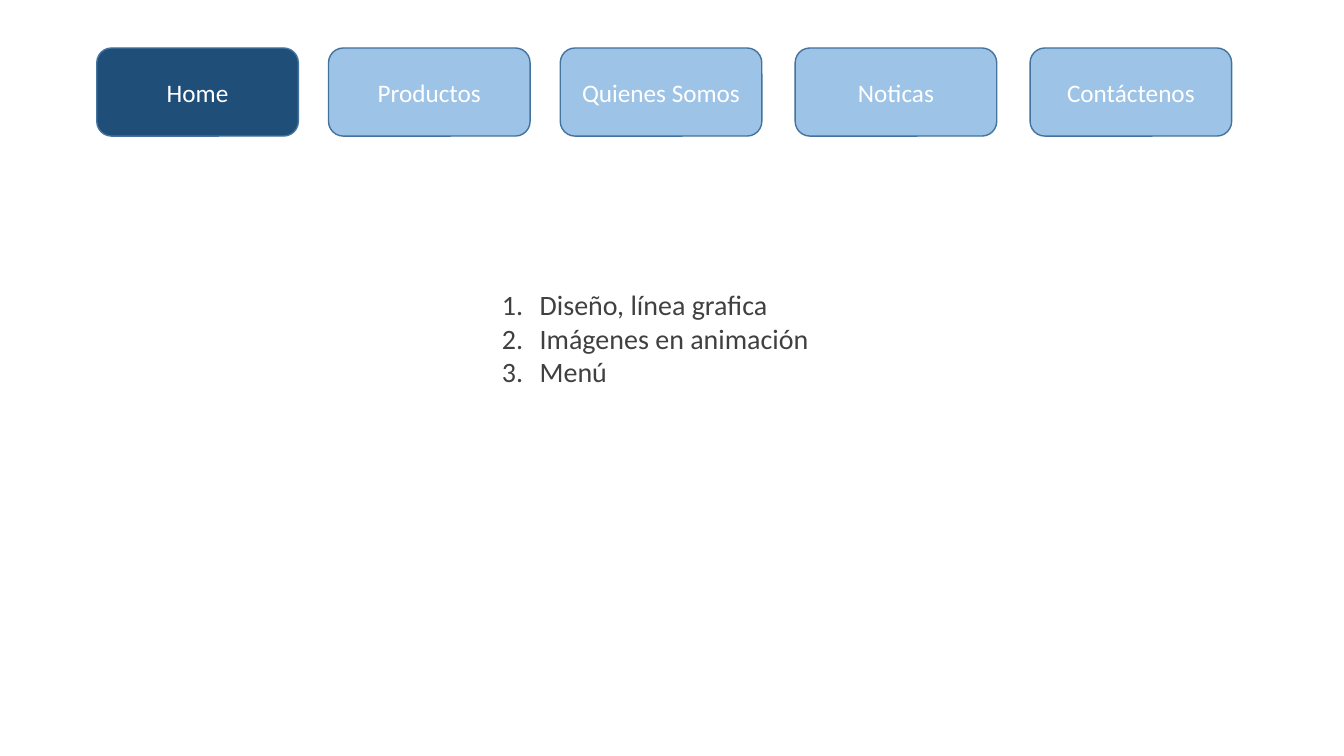
from dataclasses import dataclass

from lxml.etree import SubElement
from pptx import Presentation
from pptx.dml.color import RGBColor
from pptx.enum.shapes import MSO_SHAPE
from pptx.enum.text import MSO_ANCHOR, MSO_AUTO_SIZE, PP_ALIGN
from pptx.oxml.ns import qn
from pptx.util import Cm, Pt

MENU = ["Home", "Productos", "Quienes Somos", "Noticas", "Contáctenos"]
ACTIVE = "Home"
TASKS = ["Diseño, línea grafica", "Imágenes en animación", "Menú"]


@dataclass(frozen=True)
class Theme:
    """Colours, font and type sizes of the slide."""
    active: RGBColor = RGBColor(0x1F, 0x4E, 0x79)
    inactive: RGBColor = RGBColor(0x9D, 0xC3, 0xE6)
    outline: RGBColor = RGBColor(0x43, 0x73, 0x9E)
    label: RGBColor = RGBColor(0xFF, 0xFF, 0xFF)
    body: RGBColor = RGBColor(0x40, 0x40, 0x40)
    font: str = "Calibri"
    label_size: Pt = Pt(18)
    body_size: Pt = Pt(20)


THEME = Theme()
BUTTON_LEFT, BUTTON_TOP = Cm(2.44), Cm(1.21)
BUTTON_WIDTH, BUTTON_HEIGHT = Cm(5.08), Cm(2.22)
BUTTON_GAPS = [Cm(0.76), Cm(0.76), Cm(0.84), Cm(0.84)]
LIST_BOX = Cm(12.4), Cm(7.12), Cm(8.56), Cm(2.82)
LIST_INDENT = Cm(0.95)


def format_runs(paragraph, size, color):
    """Apply the theme font, a size and a colour to a paragraph's runs."""
    for run in paragraph.runs:
        run.font.name = THEME.font
        run.font.size = size
        run.font.color.rgb = color


def add_button(slide, index, label):
    """Add one menu button in its place in the row."""
    left = BUTTON_LEFT + index * BUTTON_WIDTH + sum(BUTTON_GAPS[:index])
    shape = slide.shapes.add_shape(
        MSO_SHAPE.ROUNDED_RECTANGLE, left, BUTTON_TOP, BUTTON_WIDTH, BUTTON_HEIGHT)
    shape.shadow.inherit = False
    shape.fill.solid()
    shape.fill.fore_color.rgb = THEME.active if label == ACTIVE else THEME.inactive
    shape.line.color.rgb = THEME.outline
    shape.line.width = Pt(1)
    shape.text_frame.text = label
    shape.text_frame.vertical_anchor = MSO_ANCHOR.MIDDLE
    paragraph = shape.text_frame.paragraphs[0]
    paragraph.alignment = PP_ALIGN.CENTER
    format_runs(paragraph, THEME.label_size, THEME.label)


def number_paragraph(paragraph):
    """Give a paragraph automatic numbering with a hanging indent."""
    properties = paragraph._p.get_or_add_pPr()
    properties.set("marL", str(LIST_INDENT))
    properties.set("indent", str(-LIST_INDENT))
    SubElement(properties, qn("a:buFont"), typeface="+mj-lt")
    SubElement(properties, qn("a:buAutoNum"), type="arabicPeriod")


def add_task_list(slide):
    """Add the numbered list of tasks."""
    box = slide.shapes.add_textbox(*LIST_BOX)
    frame = box.text_frame
    frame.word_wrap = True
    frame.auto_size = MSO_AUTO_SIZE.SHAPE_TO_FIT_TEXT
    frame.text = "\n".join(TASKS)
    for paragraph in frame.paragraphs:
        number_paragraph(paragraph)
        format_runs(paragraph, THEME.body_size, THEME.body)


def main():
    """Build and save the slide."""
    presentation = Presentation()
    presentation.slide_width, presentation.slide_height = Cm(33.87), Cm(19.05)
    blank_layout = presentation.slide_layouts[6]
    slide = presentation.slides.add_slide(blank_layout)
    for index, label in enumerate(MENU):
        add_button(slide, index, label)
    add_task_list(slide)
    presentation.save("out.pptx")


main()
